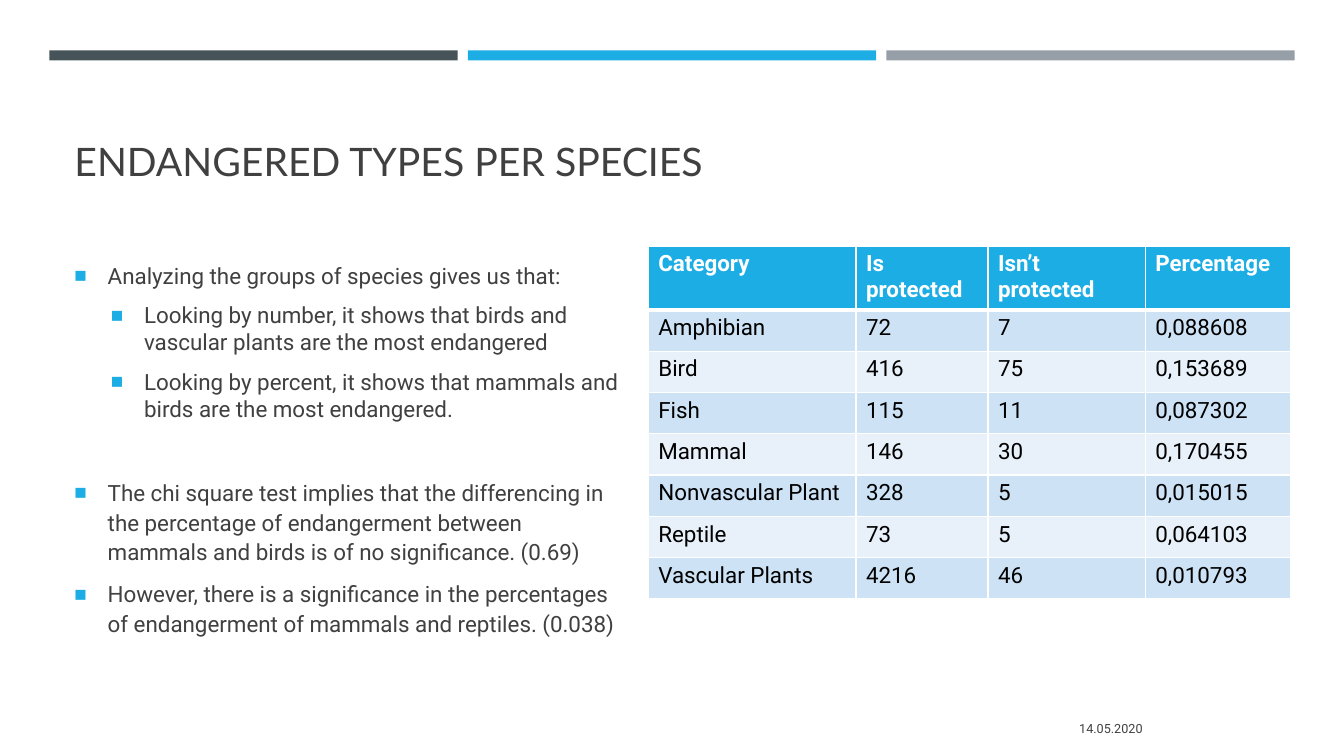
from lxml import etree
from pptx import Presentation
from pptx import util as u
from pptx.dml.color import RGBColor
from pptx.enum import shapes, text
from pptx.oxml.ns import qn

ACCENT, SLATE, GREY = "1CADE4", "465359", "969FA7"
INK, WHITE, BLACK = "404040", "FFFFFF", "000000"
BANDS = ("CDE3F5", "E8F1FA")

# level, text, space before in points
FINDINGS = [
    (0, "Analyzing the groups of species gives us that:", 3.2),
    (1, "Looking by number, it shows that birds and vascular plants are the most endangered", 3.2),
    (1, "Looking by percent, it shows that mammals and birds are the most endangered.", 3.2),
    (0, "The chi square test implies that the differencing in the percentage of endangerment "
        "between mammals and birds is of no significance. (0.69)", 33),
    (0, "However, there is a significance in the percentages of endangerment of mammals "
        "and reptiles. (0.038)", 3.2),
]

SPECIES = [
    ("Category", "Is protected", "Isn’t protected", "Percentage"),
    ("Amphibian", "72", "7", "0,088608"),
    ("Bird", "416", "75", "0,153689"),
    ("Fish", "115", "11", "0,087302"),
    ("Mammal", "146", "30", "0,170455"),
    ("Nonvascular Plant", "328", "5", "0,015015"),
    ("Reptile", "73", "5", "0,064103"),
    ("Vascular Plants", "4216", "46", "0,010793"),
]


def rgb(value):
    return RGBColor.from_string(value)


def add_bullet(paragraph, indent):
    """Give the paragraph a hanging square bullet; indent is in inches."""
    props = paragraph._p.get_or_add_pPr()
    props.set("marL", str(u.Inches(indent)))
    props.set("indent", str(u.Inches(-0.33)))
    color = etree.SubElement(props, qn("a:buClr"))
    etree.SubElement(color, qn("a:srgbClr"), val=ACCENT)
    etree.SubElement(props, qn("a:buSzPct"), val="92000")
    etree.SubElement(props, qn("a:buFont"), typeface="Arial")
    etree.SubElement(props, qn("a:buChar"), char="■")


def add_borders(cell, top, bottom):
    """Draw white cell borders; top and bottom widths are in points."""
    props = cell._tc.get_or_add_tcPr()
    for side, width in (("lnL", 1), ("lnR", 1), ("lnT", top), ("lnB", bottom)):
        line = etree.SubElement(props, qn(f"a:{side}"), w=str(u.Pt(width)))
        fill = etree.SubElement(line, qn("a:solidFill"))
        etree.SubElement(fill, qn("a:srgbClr"), val=WHITE)


class Deck:
    def __init__(self):
        self.deck = Presentation()
        self.deck.slide_width = u.Inches(13.33)
        self.deck.slide_height = u.Inches(7.5)
        self.slide = self.deck.slides.add_slide(self.deck.slide_layouts[6])

    def style(self, paragraph, size, color, font="Roboto", bold=False):
        for run in paragraph.runs:
            run.font.name = font
            run.font.size = u.Pt(size)
            run.font.bold = bold
            run.font.color.rgb = rgb(color)

    def bar(self, left, top, width, height, color):
        bar = self.slide.shapes.add_shape(
            shapes.MSO_SHAPE.RECTANGLE, *map(u.Inches, (left, top, width, height)))
        bar.shadow.inherit = False
        bar.fill.solid()
        bar.fill.fore_color.rgb = rgb(color)
        bar.line.fill.background()

    def frame(self, left, top, width, height, anchor):
        box = self.slide.shapes.add_textbox(*map(u.Inches, (left, top, width, height)))
        box.text_frame.word_wrap = True
        box.text_frame.vertical_anchor = anchor
        return box.text_frame

    def label(self, at, words, size, anchor, font="Roboto", align=text.PP_ALIGN.LEFT):
        paragraph = self.frame(*at, anchor).paragraphs[0]
        paragraph.text = words
        paragraph.alignment = align
        self.style(paragraph, size, INK, font)

    def bullets(self, at, items):
        body = self.frame(*at, text.MSO_ANCHOR.TOP)
        body.margin_top = u.Inches(0.13)
        body.text = "\n".join(words for _, words, _ in items)
        for paragraph, (level, _, before) in zip(body.paragraphs, items):
            paragraph.level = level
            paragraph.line_spacing = 1.0 if level else 1.1
            paragraph.space_before = u.Pt(before)
            paragraph.space_after = u.Pt(6)
            add_bullet(paragraph, 0.69 if level else 0.33)
            self.style(paragraph, 16, INK)

    def table(self, left, top, widths, row_height, rows):
        table = self.slide.shapes.add_table(
            len(rows), len(widths), u.Inches(left), u.Inches(top),
            u.Inches(sum(widths)), u.Inches(row_height * len(rows))).table
        for column, width in zip(table.columns, widths):
            column.width = u.Inches(width)
        for r, row in enumerate(rows):
            header = r == 0
            for c, words in enumerate(row):
                cell = table.cell(r, c)
                cell.text = words
                add_borders(cell, top=3 if r == 1 else 1, bottom=3 if header else 1)
                cell.fill.solid()
                cell.fill.fore_color.rgb = rgb(ACCENT if header else BANDS[(r - 1) % 2])
                self.style(cell.text_frame.paragraphs[0], 16,
                           WHITE if header else BLACK, bold=header)


def main():
    page = Deck()
    for i, color in enumerate((SLATE, ACCENT, GREY)):
        page.bar(0.49 + 4.15 * i, 0.5, 4.05, 0.1, color)
    page.label((0.64, 0.8, 12.06, 1.08), "ENDANGERED TYPES PER SPECIES", 28,
               text.MSO_ANCHOR.BOTTOM, font="Lato")
    page.bullets((0.64, 2.44, 5.68, 5.31), FINDINGS)
    page.label((8.32, 7.03, 3.11, 0.4), "14.05.2020", 9,
               text.MSO_ANCHOR.MIDDLE, align=text.PP_ALIGN.RIGHT)
    page.table(6.43, 2.44, (2.06, 1.31, 1.56, 1.44), 0.41, SPECIES)
    page.deck.save("out.pptx")


if __name__ == "__main__":
    main()
